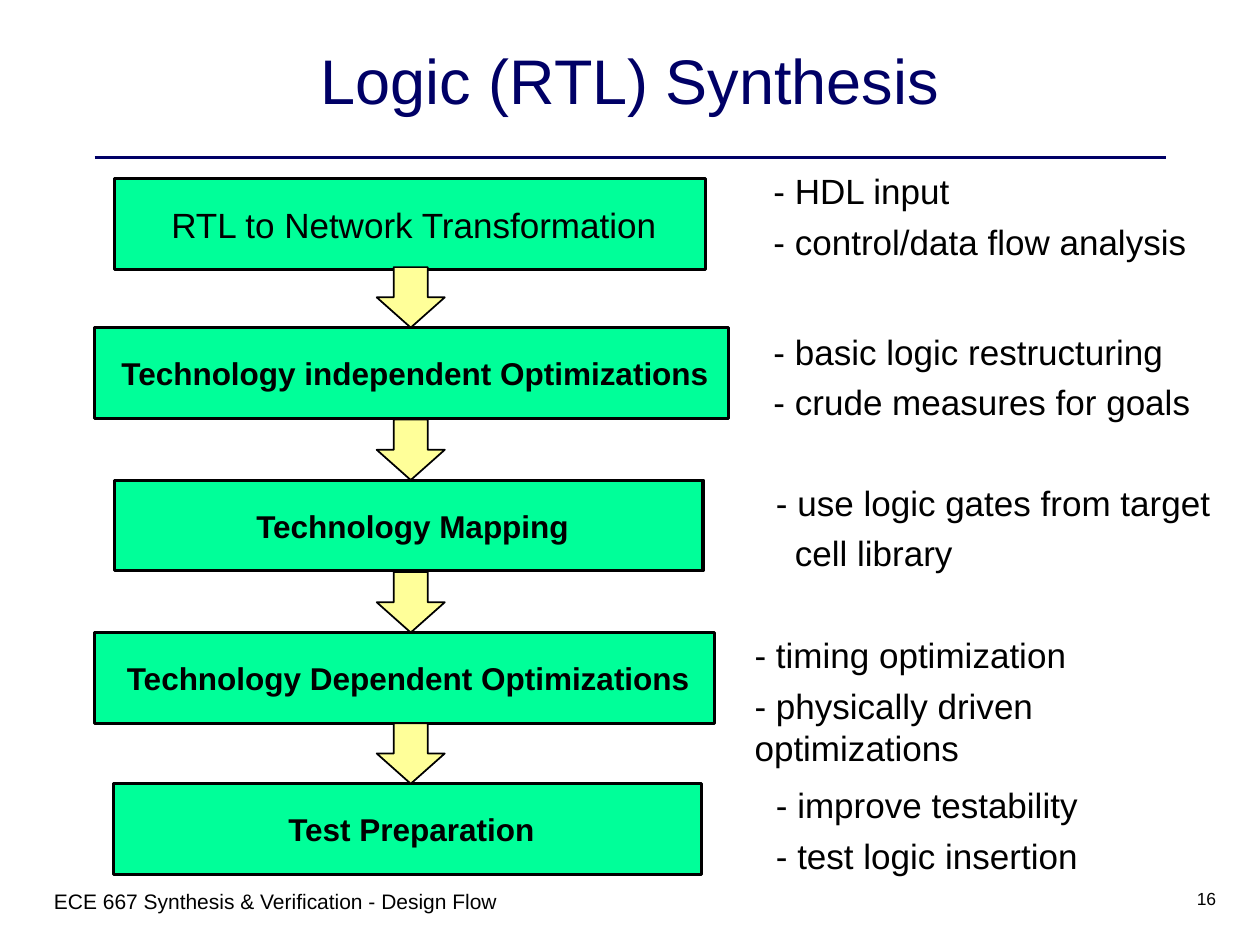
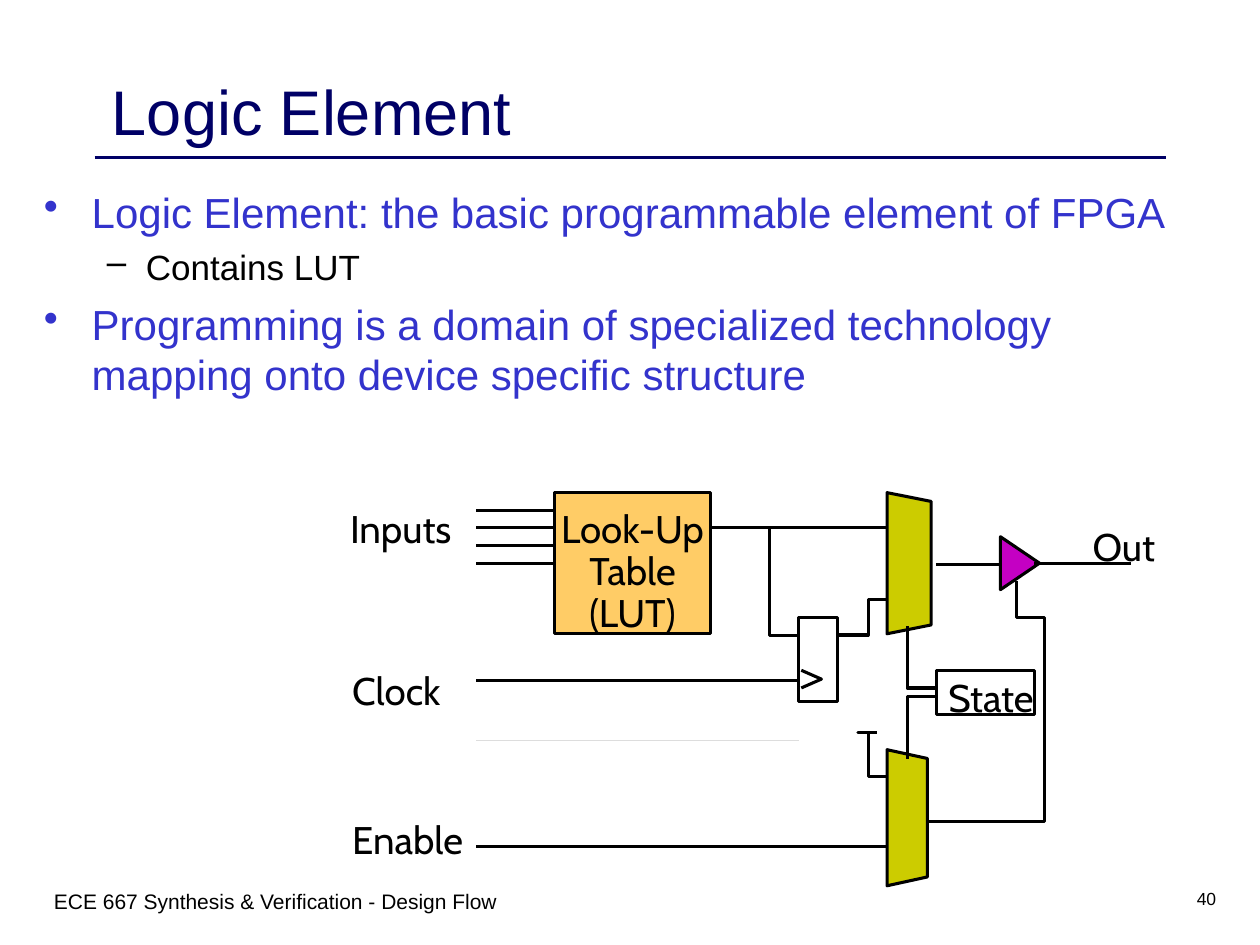
from lxml import etree
from pptx import Presentation
from pptx.dml.color import RGBColor
from pptx.enum import shapes as sh, text as tx
from pptx.oxml import ns
from pptx.util import Inches, Pt

# Shared look
NAVY = RGBColor(0x00, 0x00, 0x66)
BLUE = RGBColor(0x33, 0x33, 0xCC)
BLACK = RGBColor(0x00, 0x00, 0x00)
GREEN = RGBColor(0x00, 0xFF, 0x99)
YELLOW = RGBColor(0xFF, 0xFF, 0x99)
ORANGE = RGBColor(0xFF, 0xCC, 0x66)
OLIVE = RGBColor(0xCC, 0xCC, 0x00)
PURPLE = RGBColor(0xC4, 0x00, 0xC3)
GREY = RGBColor(0xDD, 0xDD, 0xDD)
LEFT, CENTER, RIGHT = tx.PP_ALIGN.LEFT, tx.PP_ALIGN.CENTER, tx.PP_ALIGN.RIGHT
TOP, MIDDLE = tx.MSO_ANCHOR.TOP, tx.MSO_ANCHOR.MIDDLE
RECT, ARROW = sh.MSO_SHAPE.RECTANGLE, sh.MSO_SHAPE.DOWN_ARROW
PAD = (0.1, 0.05, 0.1, 0.05)
FOOTER = "ECE 667 Synthesis & Verification - Design Flow"

# Slide 1: left, top, width, step, note left, note top, note width, notes
STEPS = [
    (0.91, 1.42, 4.69, "RTL to Network Transformation",
     6.04, 1.3, 3.48, ["- HDL input", "- control/data flow analysis"]),
    (0.75, 2.6, 5.03, "Technology independent Optimizations",
     6.04, 2.57, 3.51,
     ["- basic logic restructuring", "- crude measures for goals"]),
    (0.91, 3.81, 4.67, "Technology Mapping",
     6.06, 3.77, 3.65, ["- use logic gates from target", "cell library"]),
    (0.75, 5.02, 4.92, "Technology Dependent Optimizations",
     5.89, 4.98, 4.11,
     ["- timing optimization", "- physically driven optimizations"]),
    (0.9, 6.22, 4.67, "Test Preparation",
     6.06, 6.17, 2.6, ["- improve testability", "- test logic insertion"]),
]

# Slide 2: level, text
POINTS = [
    (0, "Logic Element: the basic programmable element of FPGA"),
    (1, "Contains LUT"),
    (0, "Programming is a domain of specialized technology mapping "
        "onto device specific structure"),
]
# Per level: bullet, colour, size, left margin, hang, space before
LEVELS = [("•", BLUE, 24, 0.38, 0.38, 6), ("–", BLACK, 20, 0.81, 0.31, 5)]

# Circuit wires, each a run of corner points
WIRES = [
    [(6.65, 5.04), (6.89, 5.04), (6.89, 4.76), (7.04, 4.76)],
    [(6.11, 4.19), (6.11, 5.04), (6.34, 5.04)],
    [(7.43, 5.46), (7.2, 5.46), (7.2, 4.97)],
    [(7.43, 5.53), (7.2, 5.53), (7.2, 6.02)],
    [(7.36, 6.52), (8.29, 6.52), (8.29, 4.9), (8.07, 4.9), (8.07, 4.61)],
    [(7.04, 6.16), (6.89, 6.16), (6.89, 5.81), (6.81, 5.81), (6.96, 5.81)],
    [(6.36, 5.32), (6.52, 5.39), (6.36, 5.46)],
]
# Straight leads: start x, end x, y
LEADS = [(5.64, 7.04, 4.19), (7.43, 7.93, 4.48), (8.21, 8.98, 4.47),
         (3.78, 6.34, 5.4), (3.78, 7.04, 6.72)]
LABELS = [(2.72, 4.01, 0.92, "Inputs"), (2.76, 5.29, 0.77, "Clock"),
          (2.75, 6.48, 0.97, "Enable"), (8.65, 4.15, 0.54, "Out"),
          (7.5, 5.35, 0.73, "State")]


def apply(item, form):
    for name, value in form.items():
        setattr(item, name, value)


def write(shape, lines, size, color=BLACK, font="Arial", bold=False,
          align=LEFT, anchor=TOP, pad=PAD, wrap=False, form=None):
    """Fill the shape with one paragraph per line; form is for later lines."""
    frame = shape.text_frame
    sides = ("left", "top", "right", "bottom")
    apply(frame, {f"margin_{s}": Inches(v) for s, v in zip(sides, pad)})
    apply(frame, {"word_wrap": wrap, "vertical_anchor": anchor})
    for i, line in enumerate(lines):
        para = frame.paragraphs[0] if i == 0 else frame.add_paragraph()
        para.alignment = align
        if i:
            apply(para, form or {})
        style(para.add_run(), line, size, color, font, bold)
    return frame


def style(run, words, size, color, font="Arial", bold=False):
    run.text = words
    apply(run.font, {"size": Pt(size), "name": font, "bold": bold})
    run.font.color.rgb = color


def box(slide, x, y, w, h):
    return slide.shapes.add_textbox(Inches(x), Inches(y), Inches(w), Inches(h))


def paint(shape, fill, width=1.75):
    shape.shadow.inherit = False
    if fill is None:
        shape.fill.background()
    else:
        shape.fill.solid()
        shape.fill.fore_color.rgb = fill
    shape.line.color.rgb = BLACK
    shape.line.width = Pt(width)
    return shape


def block(slide, kind, x, y, w, h, fill, width=1.75):
    shape = slide.shapes.add_shape(
        kind, Inches(x), Inches(y), Inches(w), Inches(h))
    return paint(shape, fill, width)


def line(slide, start, end, color=BLACK, width=1.75):
    link = slide.shapes.add_connector(
        sh.MSO_CONNECTOR.STRAIGHT, *map(Inches, start + end))
    link.line.color.rgb = color
    link.line.width = Pt(width)
    etree.SubElement(link._element.spPr, ns.qn("a:effectLst"))


def trace(slide, points, fill=None):
    """Draw an open wire, or a closed outline when a fill is given."""
    spots = [(Inches(x), Inches(y)) for x, y in points]
    pen = slide.shapes.build_freeform(*spots[0])
    pen.add_line_segments(spots[1:], close=fill is not None)
    paint(pen.convert_to_shape(), fill)


def mux(slide, x, y, w, h):
    slant = 0.07
    trace(slide, [(x, y), (x, y + h), (x + w, y + h - slant),
                  (x + w, y + slant)], OLIVE)


def bullet(para, mark, color, left, hang):
    props = para._p.get_or_add_pPr()
    props.set("marL", str(Inches(left)))
    props.set("indent", str(-Inches(hang)))
    tint = etree.SubElement(props, ns.qn("a:buClr"))
    etree.SubElement(tint, ns.qn("a:srgbClr")).set("val", str(color))
    etree.SubElement(props, ns.qn("a:buChar")).set("char", mark)


def label(slide, x, y, w, lines, h=0.37, form=None):
    write(box(slide, x, y, w, h), lines, 22, font="Cabin", align=CENTER,
          pad=(0, 0, 0, 0), form=form)


def start(deck, title, spot, align, number):
    """Add a slide with its rule, footer, number and title."""
    slide = deck.slides.add_slide(deck.slide_layouts[6])
    line(slide, (0.75, 1.25), (9.25, 1.25), NAVY, 2.25)
    write(box(slide, 0.33, 7, 4.5, 0.5), [FOOTER], 12, wrap=True)
    write(box(slide, 7.67, 7, 2.08, 0.5), [number], 10, align=RIGHT, wrap=True)
    write(box(slide, *spot), [title], 36, NAVY, align=align, anchor=MIDDLE,
          wrap=True)
    return slide


def flow(slide):
    for i, (x, y, w, step, left, top, wide, notes) in enumerate(STEPS):
        rect = block(slide, RECT, x, y, w, 0.72, GREEN)
        write(rect, [step], 18 if i else 20, bold=i > 0, align=CENTER,
              anchor=MIDDLE, pad=(0.16, 0.05, 0.1, 0.05))
        if i:
            block(slide, ARROW, 2.99, y - 0.48, 0.54, 0.48, YELLOW, 1)
        frame = write(box(slide, left, top, wide, 0.84), notes, 20,
                      form={"space_before": Pt(5)})
        for para in frame.paragraphs:
            if not para.text.startswith("-"):
                para._p.get_or_add_pPr().set("marL", str(Inches(0.15)))


def points(slide):
    frame = write(box(slide, 0.25, 1.43, 9.5, 1.9), [], 24, wrap=True)
    for i, (level, words) in enumerate(POINTS):
        mark, color, size, left, hang, gap = LEVELS[level]
        para = frame.add_paragraph() if i else frame.paragraphs[0]
        bullet(para, mark, color, left, hang)
        apply(para, {"level": level, "space_before": Pt(gap if i else 0)})
        style(para.add_run(), words, size, color)


def circuit(slide):
    # Parts
    block(slide, RECT, 4.4, 3.91, 1.24, 1.12, ORANGE)
    block(slide, RECT, 6.34, 4.9, 0.31, 0.67, None)
    block(slide, RECT, 7.43, 5.32, 0.78, 0.35, None)
    mux(slide, 7.04, 3.91, 0.35, 1.12)
    mux(slide, 7.04, 5.95, 0.32, 1.08)
    trace(slide, [(7.94, 4.26), (7.94, 4.68), (8.25, 4.47)], PURPLE)
    # Wires
    for wire in WIRES:
        trace(slide, wire)
    inputs = [(3.78, 4.4, 4.05 + 0.14 * i) for i in range(4)]
    for x, end, y in inputs + LEADS:
        line(slide, (x, y), (end, y))
    line(slide, (3.78, 5.88), (6.34, 5.88), GREY, 0.5)
    # Names
    label(slide, 4.42, 4.01, 1.2, ["Look-Up", "Table", "(LUT)"], 1.04,
          {"line_spacing": Pt(24)})
    for x, y, w, word in LABELS:
        label(slide, x, y, w, [word])


def main():
    deck = Presentation()
    apply(deck, {"slide_width": Inches(10), "slide_height": Inches(7.5)})
    flow(start(deck, "Logic (RTL) Synthesis", (0.75, 0.17, 8.5, 0.92),
               CENTER, "16"))
    slide = start(deck, "Logic Element", (0.79, 0.5, 8.31, 0.75), LEFT, "40")
    points(slide)
    circuit(slide)
    deck.save("out.pptx")


if __name__ == "__main__":
    main()
